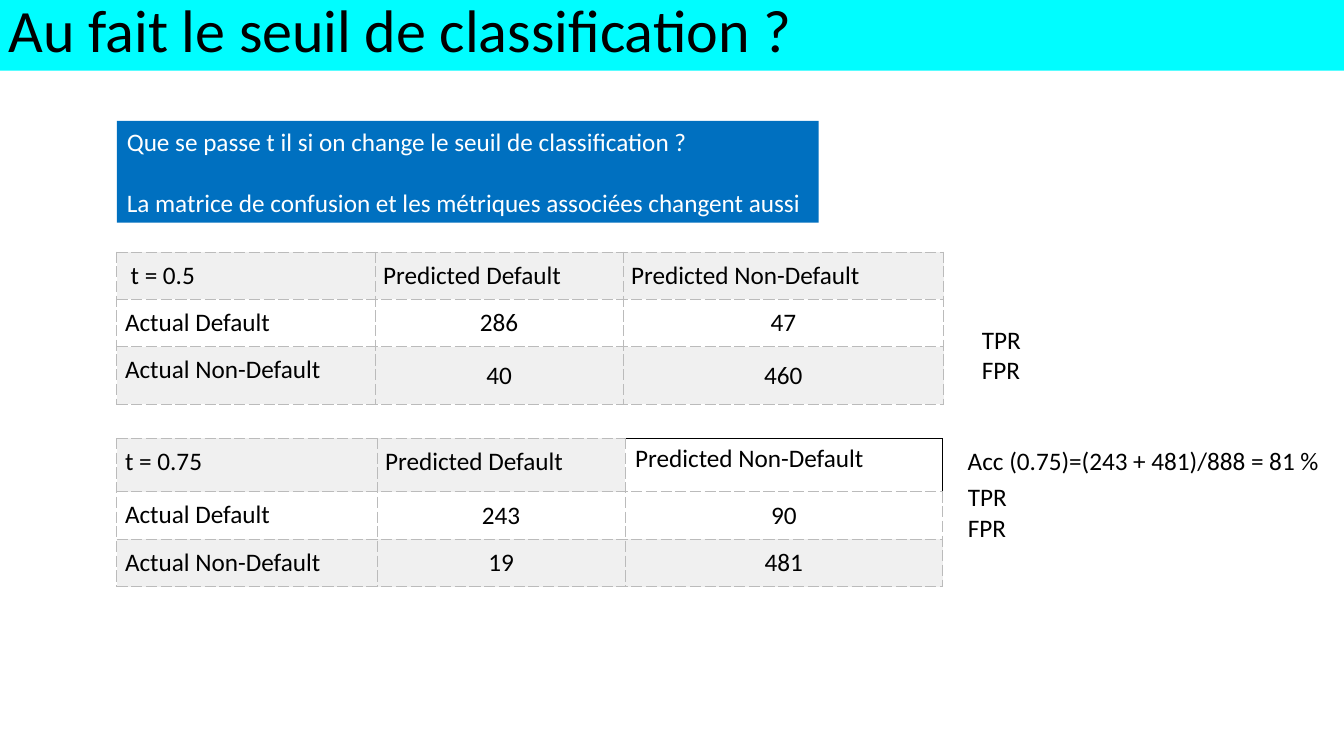
from lxml import etree
from pptx import Presentation
from pptx.dml.color import RGBColor
from pptx.enum import shapes, text
from pptx.oxml.ns import qn
from pptx.util import Inches, Pt

FONT, BLACK, WHITE, GRAY = "Calibri", "000000", "FFFFFF", "F0F0F0"
DASHED, SOLID = ("BBBBBB", "dash"), (BLACK, "solid")
CELL_MARGIN = 0.08

# Content: boxes are (left, top, width, height)
TITLE = "Au fait le seuil de classification ?"
QUESTION = ["Que se passe t il si on change le seuil de classification ?",
            "La matrice de confusion et les métriques associées changent aussi"]
MATRICES = [
    {"box": (1.16, 4.35), "columns": (2.58, 2.46, 3.15), "rows": (0.53, 0.47, 0.47),
     "threshold": "t = 0.75", "counts": [(243, 90), (19, 481)], "outlined": True},
    {"box": (1.16, 2.5), "columns": (2.56, 2.46, 3.18), "rows": (0.47, 0.47, 0.57),
     "threshold": "\u00a0t = 0.5", "counts": [(286, 47), (40, 460)], "outlined": False},
]
PREDICTED = ["Predicted\u00a0Default", "Predicted Non-Default"]
ACTUAL = ["Actual Default", "Actual Non-Default"]
NOTES = [
    ((9.5, 4.37, 3.84, 0.4), ["Acc (0.75)=(243 + 481)/888 = 81 %"], True),
    ((9.64, 3.17, 0.59, 0.71), ["TPR", "FPR"], False),
    ((9.5, 4.73, 0.59, 0.71), ["TPR", "FPR"], False),
]


def color(value):
    return RGBColor.from_string(value)


def write(frame, lines, size=18, ink=BLACK, **paragraph_format):
    for index, line in enumerate(lines):
        paragraph = frame.paragraphs[0] if index == 0 else frame.add_paragraph()
        paragraph.alignment = text.PP_ALIGN.LEFT
        for name, value in paragraph_format.items():
            setattr(paragraph, name, value)
        run = paragraph.add_run()
        run.text = line
        for name, value in {"name": FONT, "size": Pt(size), "bold": False}.items():
            setattr(run.font, name, value)
        run.font.color.rgb = color(ink)


def add_panel(slide, box, fill):
    shape = slide.shapes.add_shape(shapes.MSO_SHAPE.RECTANGLE, *map(Inches, box))
    shape.shadow.inherit = False
    shape.fill.solid()
    shape.fill.fore_color.rgb = color(fill)
    shape.line.fill.background()
    return shape.text_frame


def add_borders(cell, styles):
    properties = cell._tc.get_or_add_tcPr()
    for side in "LRTB":
        ink, dash = styles[side]
        line = etree.SubElement(properties, qn(f"a:ln{side}"), w=str(Pt(0.75)))
        fill = etree.SubElement(line, qn("a:solidFill"))
        etree.SubElement(fill, qn("a:srgbClr"), val=ink)
        etree.SubElement(line, qn("a:prstDash"), val=dash)


def add_matrix(slide, matrix):
    widths, heights = matrix["columns"], matrix["rows"]
    box = (*matrix["box"], sum(widths), sum(heights))
    table = slide.shapes.add_table(len(heights), len(widths), *map(Inches, box)).table
    table.first_row = table.horz_banding = False
    for column, width in zip(table.columns, widths):
        column.width = Inches(width)
    for row, height in zip(table.rows, heights):
        row.height = Inches(height)

    grid = [[matrix["threshold"], *PREDICTED]]
    grid += [[label, *counts] for label, counts in zip(ACTUAL, matrix["counts"])]
    for r, values in enumerate(grid):
        for c, value in enumerate(values):
            cell = table.cell(r, c)
            outlined = matrix["outlined"] and (r, c) == (0, 2)
            borders = dict.fromkeys("LRTB", DASHED)
            if outlined:
                borders.update(R=SOLID, T=SOLID)
            add_borders(cell, borders)
            if outlined:
                cell.fill.background()
            else:
                cell.fill.solid()
                cell.fill.fore_color.rgb = color(WHITE if r % 2 else GRAY)
                for side in ("left", "right", "top", "bottom"):
                    setattr(cell, f"margin_{side}", Inches(CELL_MARGIN))
            is_count = r > 0 and c > 0
            if is_count:
                cell.vertical_anchor = text.MSO_ANCHOR.MIDDLE
            alignment = text.PP_ALIGN.CENTER if is_count else text.PP_ALIGN.LEFT
            write(cell.text_frame, [str(value)], alignment=alignment)


def main():
    presentation = Presentation()
    presentation.slide_width, presentation.slide_height = Inches(13.33), Inches(7.5)
    slide = presentation.slides.add_slide(presentation.slide_layouts[6])

    # Question panel
    frame = add_panel(slide, (1.16, 1.2, 6.96, 1.01), "0070C0")
    frame.word_wrap = False
    frame.vertical_anchor = text.MSO_ANCHOR.TOP
    write(frame, QUESTION, ink=WHITE)
    frame.paragraphs[1].space_before = Pt(22)

    # Title band
    frame = add_panel(slide, (-0.01, -0.01, 13.34, 0.71), "00FDFF")
    frame.word_wrap = True
    frame.vertical_anchor = text.MSO_ANCHOR.MIDDLE
    write(frame, [TITLE], size=42.9, line_spacing=0.8)

    # Confusion matrices
    for matrix in MATRICES:
        add_matrix(slide, matrix)

    # Metrics beside the matrices
    for box, lines, wrap in NOTES:
        frame = slide.shapes.add_textbox(*map(Inches, box)).text_frame
        frame.word_wrap = wrap
        write(frame, lines)

    presentation.save("out.pptx")


if __name__ == "__main__":
    main()
